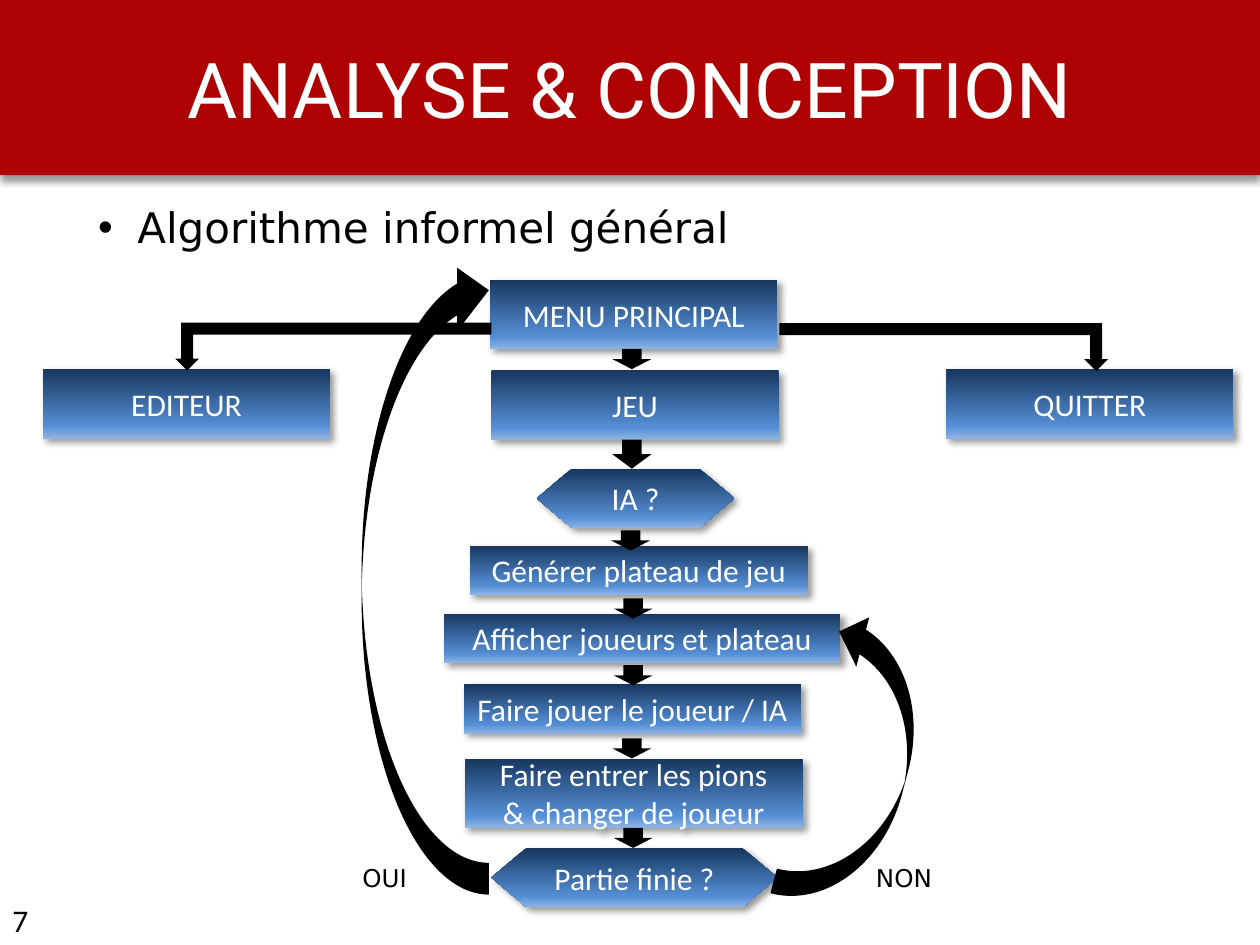
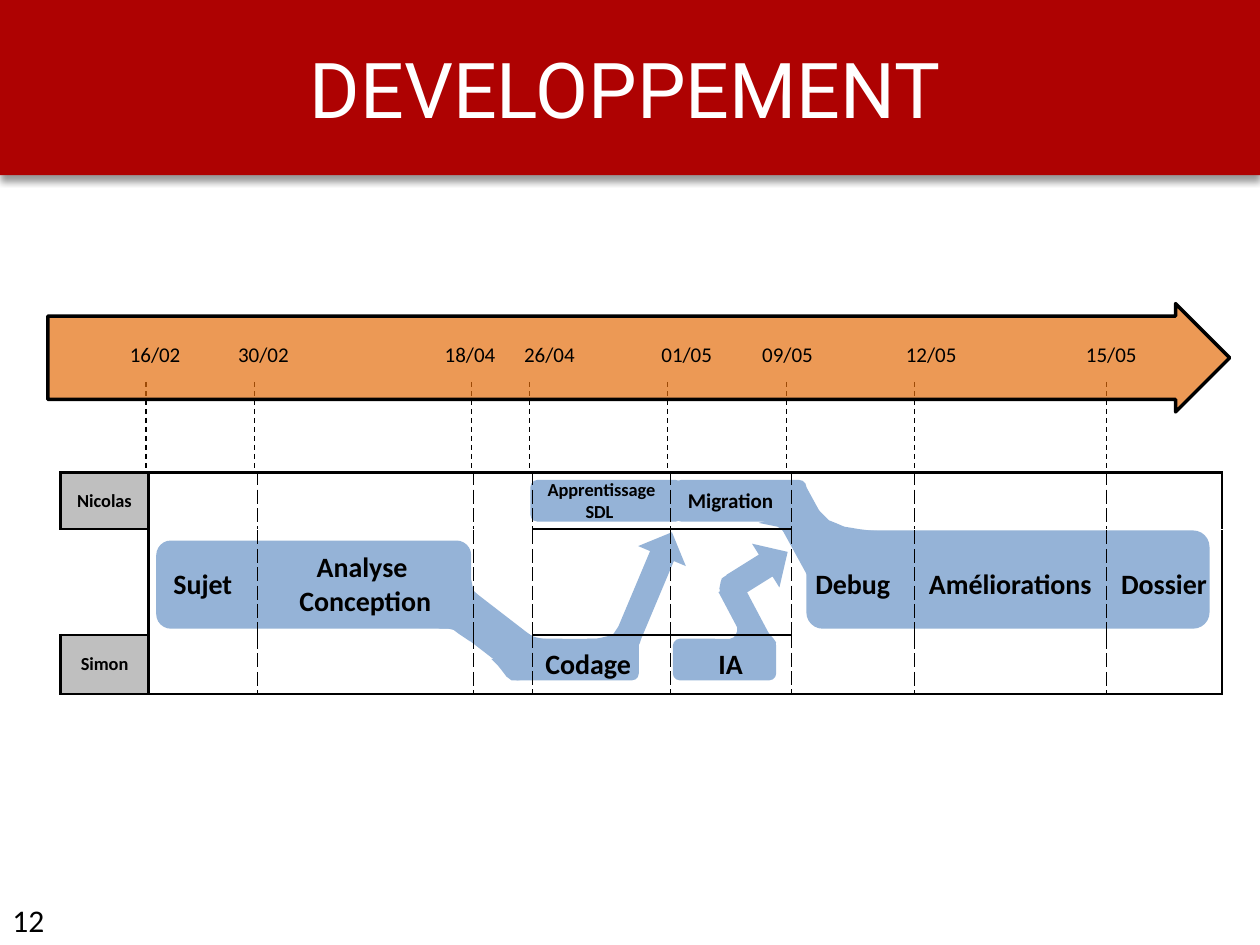
from copy import deepcopy

from pptx import Presentation
from pptx.dml.color import RGBColor
from pptx.enum.dml import MSO_LINE
from pptx.enum.shapes import MSO_CONNECTOR, MSO_SHAPE
from pptx.enum.text import MSO_ANCHOR, MSO_AUTO_SIZE, PP_ALIGN
from pptx.oxml import parse_xml
from pptx.oxml.ns import nsdecls, qn
from pptx.util import Cm, Pt

RECT, ROUND, HEX = MSO_SHAPE.RECTANGLE, MSO_SHAPE.ROUNDED_RECTANGLE, MSO_SHAPE.HEXAGON
DOWN, RIGHT = MSO_SHAPE.DOWN_ARROW, MSO_SHAPE.RIGHT_ARROW
BENT, BENT_UP = MSO_SHAPE.BENT_ARROW, MSO_SHAPE.BENT_UP_ARROW
CURVE_R, CURVE_L = MSO_SHAPE.CURVED_RIGHT_ARROW, MSO_SHAPE.CURVED_LEFT_ARROW
STRAIGHT, DASH = MSO_CONNECTOR.STRAIGHT, MSO_LINE.DASH
MID, LOW = MSO_ANCHOR.MIDDLE, MSO_ANCHOR.BOTTOM
LEFT, CENTER = PP_ALIGN.LEFT, PP_ALIGN.CENTER
RED, BLACK, WHITE, BLUE = "AE0202", "000000", "FFFFFF", "95B3D7"
GREY, ORANGE = "BFBFBF", "E46C0A"
FADE = [(0, "17375E"), (0.82, "558ED5"), (1, "8EB4E3")]
PLAIN = "{2D5ABB26-0587-4C30-8999-92F81FD0307C}"
INCH = 2.54


def hue(code):
    return RGBColor.from_string(code)


def write(frame, text, size=18, font="Calibri", color=BLACK, bold=False, align=LEFT):
    frame.word_wrap = True
    frame.text = text
    for para in frame.paragraphs:
        para.alignment = align
        for run in para.runs:
            run.font.size = Pt(size)
            run.font.name = font
            run.font.bold = bold
            run.font.color.rgb = hue(color)


deck = Presentation()
deck.slide_width, deck.slide_height = Cm(25.4), Cm(19.05)
shaded = []
slides = []

for name, page, inset in [("ANALYSE & CONCEPTION", "7", 0.25), ("DEVELOPPEMENT", "12", 0.43)]:
    slide = deck.slides.add_slide(deck.slide_layouts[5])
    title = slide.shapes.title
    title.left, title.top, title.width, title.height = 0, 0, deck.slide_width, Cm(3.53)
    title.fill.solid()
    title.fill.fore_color.rgb = hue(RED)
    write(title.text_frame, name, 44, "Roboto", WHITE, align=CENTER)
    title.text_frame.auto_size = MSO_AUTO_SIZE.NONE
    title.text_frame.vertical_anchor = MID
    title.text_frame.margin_right = Cm(inset)
    shaded.append((title, 90))
    box = slide.shapes.add_textbox(0, Cm(18.03), Cm(2.67), Cm(1.02))
    write(box.text_frame, page)
    slides.append(slide.shapes)

flow, plan = slides

steps = [
    ("EDITEUR", 0.34, 2.93, 2.28, 0.55),
    ("QUITTER", 7.51, 2.93, 2.28, 0.55),
    ("MENU PRINCIPAL", 3.89, 2.22, 2.28, 0.55),
    ("JEU", 3.9, 2.94, 2.28, 0.55),
    ("IA ?", 4.26, 3.72, 1.57, 0.47),
    ("Générer plateau de jeu", 3.73, 4.33, 2.68, 0.39),
    ("Afficher joueurs et plateau", 3.52, 4.87, 3.15, 0.39),
    ("Faire jouer le joueur / IA", 3.68, 5.43, 2.68, 0.39),
    ("Faire entrer les pions\n& changer de joueur", 3.69, 6.02, 2.68, 0.55),
    ("Partie finie ?", 3.9, 6.73, 2.27, 0.47),
]
for text, *at in steps:
    test = text.endswith("?")
    step = flow.add_shape(HEX if test else RECT, *[Cm(INCH * v) for v in at])
    if test:
        step.adjustments[0] = 0.59
    step.fill.gradient()
    step.fill.gradient_angle = 270
    stops = step.element.spPr.find(".//" + qn("a:gsLst"))
    stops.append(deepcopy(stops[-1]))
    for stop, (pos, code) in zip(step.fill.gradient_stops, FADE):
        stop.position = pos
        stop.color.rgb = hue(code)
    step.line.fill.background()
    write(step.text_frame, text, color=WHITE, align=CENTER)
    step.text_frame.vertical_anchor = MID
    shaded.append((step, 45))

arrows = [
    (BENT_UP, 180, 1.39, 2.56, 2.51, 0.38),
    (BENT, 90, 7.3, 1.45, 0.38, 2.61),
    (CURVE_R, 194.7, 6.4, 4.88, 0.81, 2.35),
    (CURVE_L, 180, 2.87, 2.05, 1.01, 5.05),
    (DOWN, 0, 4.86, 3.49, 0.31, 0.23),
]
drops = [(4.86, 2.77), (4.85, 4.21), (4.87, 4.75), (4.87, 5.28), (4.86, 5.86), (4.87, 6.57)]
arrows += [(DOWN, 0, x, y, 0.31, 0.16) for x, y in drops]
for kind, turn, *at in arrows:
    arrow = flow.add_shape(kind, *[Cm(INCH * v) for v in at])
    arrow.rotation = turn
    arrow.fill.solid()
    arrow.fill.fore_color.rgb = hue(BLACK)
    arrow.line.fill.background()
    arrow.shadow.inherit = False
    if kind == BENT:
        arrow.adjustments[3] = 0

for text, left in [("OUI", 5.66), ("NON", 16.13)]:
    box = flow.add_textbox(Cm(left), Cm(17.27), Cm(4.19), Cm(0.86))
    write(box.text_frame, text, 14, "DejaVu Sans", align=CENTER)

box = flow.add_textbox(Cm(1.73), Cm(3.94), Cm(21.21), Cm(1.27))
write(box.text_frame, "Algorithme informel général", 24, "DejaVu Sans")
props = box.text_frame.paragraphs[0]._p.get_or_add_pPr()
props.set("marL", str(Cm(0.79)))
props.set("indent", str(-Cm(0.79)))
props.append(parse_xml(f'<a:buFont {nsdecls("a")} typeface="Arial"/>'))
props.append(parse_xml(f'<a:buChar {nsdecls("a")} char="•"/>'))

bars = [
    (ROUND, 0, 5.35, 3.81, 1.05, 0.33),
    (RIGHT, 292.8, 4.64, 4.48, 1, 0.41),
    (ROUND, 0, 1.24, 4.29, 2.5, 0.7),
    (ROUND, 37.6, 3.44, 4.83, 0.88, 0.33),
    (ROUND, 0, 4.21, 3.81, 1.21, 0.33),
    (ROUND, 61.3, 6, 4.12, 0.88, 0.33),
    (ROUND, 0, 4.05, 5.07, 1.02, 0.33),
    (ROUND, 0, 5.34, 5.07, 0.82, 0.33),
    (ROUND, 0, 6.4, 4.21, 3.2, 0.78),
    (RIGHT, 328, 5.78, 4.31, 0.51, 0.41),
    (RECT, 332.1, 5.82, 4.62, 0.2, 0.55),
]
joints = [
    [(374, 460), (375, 465), (376, 469), (378, 471), (382, 475), (376, 481), (365, 478), (368, 466)],
    [(348, 499), (356, 499), (360, 500), (364, 503), (373, 509), (366, 493)],
    [(416, 501), (423, 505), (426, 506), (431, 507), (443, 508), (421, 510)],
    [(491, 497), (487, 503), (485, 504), (482, 505), (478, 506), (473, 507), (466, 507), (489, 510)],
    [(509, 504), (508, 510), (507, 512), (507, 518), (504, 512)],
    [(579, 455), (573, 459), (572, 462), (571, 467), (572, 472), (580, 474), (587, 466)],
    [(582, 489), (585, 497), (585, 501), (584, 504), (582, 506), (577, 508), (591, 515), (602, 509)],
    [(608, 500), (614, 507), (616, 510), (613, 518)],
    [(390, 523), (395, 528), (399, 533), (402, 537), (406, 540), (411, 540), (418, 539), (420, 526)],
    [(649, 404), (654, 409), (658, 413), (663, 415), (670, 418), (676, 419), (682, 420),
     (690, 421), (702, 422), (682, 430), (649, 424)],
    [(602, 415), (612, 417), (617, 418), (620, 420), (623, 423), (627, 425), (620, 410)],
]
parts = []
for kind, turn, *at in bars:
    bar = plan.add_shape(kind, *[Cm(INCH * v) for v in at])
    bar.rotation = turn
    parts.append(bar)
for first, *rest in joints:
    path = plan.build_freeform(*first, scale=Cm(INCH) / 100)
    path.add_line_segments(rest, close=True)
    parts.append(path.convert_to_shape())
for part in parts:
    part.fill.solid()
    part.fill.fore_color.rgb = hue(BLUE)
    part.line.fill.background()
    part.shadow.inherit = False

for x in [1.16, 2.02, 3.74, 4.2, 5.3, 6.24, 7.26, 8.78]:
    mark = plan.add_connector(STRAIGHT, *[Cm(INCH * v) for v in (x, 3.03, x, 3.74)])
    mark.line.color.rgb = hue(BLACK)
    mark.line.width = Pt(0.75)
    mark.line.dash_style = DASH
    mark.element.spPr.append(parse_xml(f'<a:effectLst {nsdecls("a")}/>'))

axis = plan.add_shape(RIGHT, *[Cm(INCH * v) for v in (0.38, 2.41, 9.38, 0.86)])
axis.adjustments[0], axis.adjustments[1] = 0.77, 0.5
axis.fill.solid()
axis.fill.fore_color.rgb = hue(ORANGE)
tint = axis.element.spPr.find(qn("a:solidFill"))[0]
tint.append(parse_xml(f'<a:alpha {nsdecls("a")} val="69000"/>'))
axis.line.color.rgb = hue(BLACK)
axis.line.width = Pt(2)
axis.shadow.inherit = False

spans = [0.7, 0.86, 1.72, 0.47, 1.09, 0.96, 0.98, 1.52, 0.92]
gaps = [0.39, 0.86, 1.64, 0.63, 1.09, 0.8, 1.14, 1.43, 0.78]
dates = ["", "16/02", "30/02", "18/04", "26/04", "01/05", "09/05", "12/05", "15/05"]
grids = [
    ("T", 0.48, 3.75, 0.45, spans,
     {0: ("Nicolas", 10.5), 4: ("Apprentissage SDL ", 10.5), 5: ("Migration", 12)}),
    ("date", 0.54, 2.49, 0.48, gaps, {col: (day, 12) for col, day in enumerate(dates) if day}),
    ("B", 0.48, 5.04, 0.47, spans, {0: ("Simon", 10.5), 4: ("Codage", 16), 5: ("IA", 16)}),
    ("", 0.48, 4.21, 0.87, spans,
     {1: ("Sujet", 16), 2: ("Analyse \nConception", 16), 6: ("Debug", 16),
      7: ("Améliorations ", 16), 8: ("Dossier", 16)}),
]
for side, left, top, high, wide, words in grids:
    at = (left, top, sum(wide), high)
    table = plan.add_table(1, len(wide), *[Cm(INCH * v) for v in at]).table
    table.first_row = table.horz_banding = False
    table._tbl.tblPr.find(qn("a:tableStyleId")).text = PLAIN
    dated = side == "date"
    for col, span in enumerate(wide):
        table.columns[col].width = Cm(INCH * span)
        cell = table.cell(0, col)
        cell.vertical_anchor = LOW if dated else MID
        cell.fill.background()
        if col in words:
            text, size = words[col]
            align = LEFT if dated or text == "Codage" else CENTER
            write(cell.text_frame, text, size, bold=not dated, align=align)
        if dated:
            continue
        edges = {"L": 0.5, "R": 0.5}
        if side:
            edges[side] = 1.5
        if col == 0:
            edges = dict.fromkeys("LRTB", 1.5) if side else {"R": 1.5}
            if side:
                cell.fill.solid()
                cell.fill.fore_color.rgb = hue(GREY)
        elif col == 1:
            edges["L"] = 1.5
        elif col == 8:
            edges["R"] = 1.5
        elif col in (4, 5):
            if side:
                edges["B" if side == "T" else "T"] = 1
            else:
                del edges["R" if col == 4 else "L"]
        props = cell._tc.get_or_add_tcPr()
        for spot, key in enumerate(sorted(edges, key="LRTB".index)):
            dash = "dash" if edges[key] == 0.5 else "solid"
            props.insert(spot, parse_xml(
                f'<a:ln{key} {nsdecls("a")} w="{Pt(edges[key])}"><a:solidFill>'
                f'<a:srgbClr val="{BLACK}"/></a:solidFill><a:prstDash val="{dash}"/></a:ln{key}>'))

for shape, angle in shaded:
    shape.shadow.inherit = False
    shape.element.spPr.find(qn("a:effectLst")).append(parse_xml(
        f'<a:outerShdw {nsdecls("a")} blurRad="{Pt(4)}" dist="{Pt(3)}" dir="{angle * 60000}" '
        f'rotWithShape="0"><a:srgbClr val="{BLACK}"><a:alpha val="40000"/></a:srgbClr></a:outerShdw>'))

deck.save("out.pptx")
